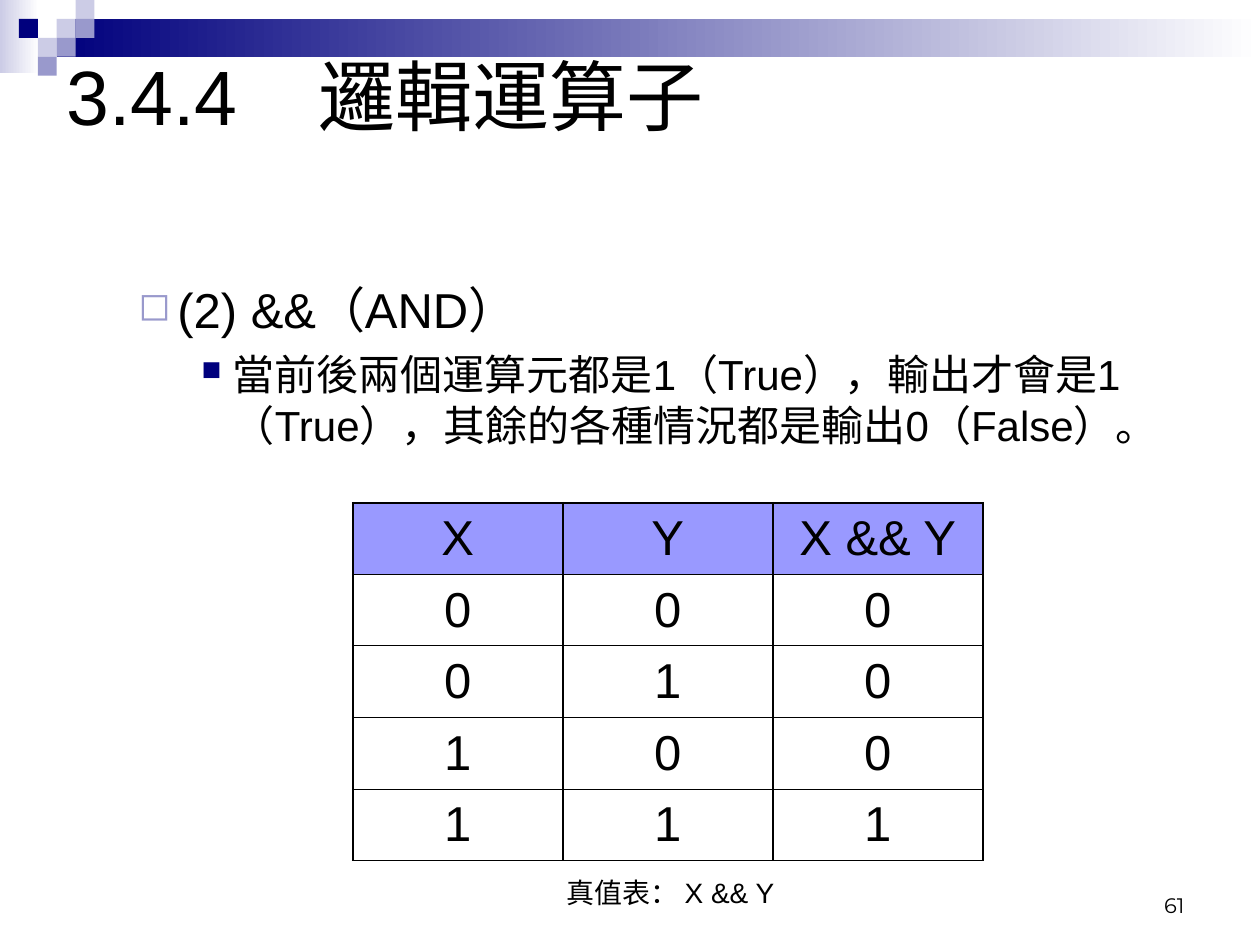
from lxml.etree import SubElement
from pptx import Presentation
from pptx.dml.color import RGBColor
from pptx.enum.shapes import MSO_SHAPE
from pptx.enum.text import MSO_ANCHOR, MSO_AUTO_SIZE, PP_ALIGN
from pptx.oxml import parse_xml
from pptx.oxml.ns import nsdecls, qn
from pptx.util import Inches, Pt

UNIT = 0.15  # side of one corner square
SQUARES = [(3, 1, "CCCCE6"), (4, 0, "CCCCE6"), (4, 1, "9999CC"), (2, 2, "CCCCE6"),
           (1, 1, "00007D"), (3, 2, "9999CC"), (2, 3, "9999CC")]
TRUTH = [("X", "Y", "X && Y")] + [
    (str(x), str(y), str(x & y)) for x in (0, 1) for y in (0, 1)]
THICK, THIN = 1.08, 0.45


def color(code):
    return RGBColor.from_string(code)


def add_block(slide, box, fill, fade=False):
    shape = slide.shapes.add_shape(MSO_SHAPE.RECTANGLE, *map(Inches, box))
    shape.shadow.inherit = False
    shape.line.fill.background()
    if fade:
        shape.fill.gradient()
        shape.fill.gradient_angle = 180
        for stop, code in zip(shape.fill.gradient_stops, ("FFFFFF", fill)):
            stop.color.rgb = color(code)
    else:
        shape.fill.solid()
        shape.fill.fore_color.rgb = color(fill)


def add_run(para, text, size, font="Arial"):
    run = para.add_run()
    run.text = text
    run.font.size = Pt(size)
    run.font.name = font
    run.font.color.rgb = color("000000")


def add_text(slide, box, anchor=MSO_ANCHOR.TOP, wrap=True):
    frame = slide.shapes.add_textbox(*map(Inches, box)).text_frame
    frame.word_wrap = wrap
    frame.vertical_anchor = anchor
    return frame


def add_tabs(para, first):
    tabs = SubElement(para._p.get_or_add_pPr(), qn("a:tabLst"))
    for inch in range(first, first + 8):
        SubElement(tabs, qn("a:tab"), pos=str(Inches(inch)), algn="l")


def add_bullet(para, char, code, share, left, hang):
    props = para._p.get_or_add_pPr()
    props.set("marL", str(Inches(left)))
    props.set("indent", str(-Inches(hang)))
    tint = SubElement(props, qn("a:buClr"))
    SubElement(tint, qn("a:srgbClr"), val=code)
    SubElement(props, qn("a:buSzPct"), val=str(share * 1000))
    SubElement(props, qn("a:buChar"), char=char)


def set_edges(cell, top, base):
    props = cell._tc.get_or_add_tcPr()
    edges = {"L": THICK, "R": THICK, "T": top, "B": base}
    for place, (side, width) in enumerate(edges.items()):
        props.insert(place, parse_xml(
            f'<a:ln{side} {nsdecls("a")} w="{Pt(width)}"><a:solidFill>'
            f'<a:srgbClr val="000000"/></a:solidFill></a:ln{side}>'))


def add_grid(slide, box, rows):
    last = len(rows) - 1
    frame = slide.shapes.add_table(len(rows), len(rows[0]), *map(Inches, box))
    table = frame.table
    table.first_row = table.horz_banding = False
    for r, row in enumerate(rows):
        for c, text in enumerate(row):
            cell = table.cell(r, c)
            cell.vertical_anchor = MSO_ANCHOR.MIDDLE
            if r == 0:
                cell.fill.solid()
                cell.fill.fore_color.rgb = color("9999FF")
            else:
                cell.fill.background()
            set_edges(cell, THICK if r == 0 else THIN, THICK if r == last else THIN)
            para = cell.text_frame.paragraphs[0]
            para.alignment = PP_ALIGN.CENTER
            add_run(para, text, 28)


def main():
    deck = Presentation()
    deck.slide_width, deck.slide_height = Inches(10), Inches(7.5)
    slide = deck.slides.add_slide(deck.slide_layouts[6])

    # Corner and top band
    add_block(slide, (0, 0, 0.31, 0.58), "CCCCE6", fade=True)
    add_block(slide, (3 * UNIT, UNIT, 10 - 3 * UNIT, 2 * UNIT), "00007D", fade=True)
    for col, row, fill in SQUARES:
        add_block(slide, (col * UNIT, row * UNIT, UNIT, UNIT), fill)

    # Title
    title = add_text(slide, (0.43, 0, 9, 1.5), MSO_ANCHOR.MIDDLE).paragraphs[0]
    add_tabs(title, 0)
    add_run(title, "3.4.4\t邏輯運算子", 44)

    # Body
    body = add_text(slide, (0.5, 2.17, 9, 4.25))
    head = body.paragraphs[0]
    head.level = 1
    add_bullet(head, "◻", "9999CC", 80, 0.81, 0.31)
    add_run(head, "(2) &&（AND）", 28)
    rule = body.add_paragraph()
    rule.level = 2
    add_bullet(rule, "■", "00007D", 65, 1.25, 0.25)
    rule.space_before = Pt(6)
    add_run(rule, "當前後兩個運算元都是1（True），輸出才會是1（True），"
                  "其餘的各種情況都是輸出0（False）。", 24)

    # Truth table and its caption
    add_grid(slide, (2.8, 3.99, 5, 2.84), TRUTH)
    note = add_text(slide, (4.4, 6.9, 1.96, 0.37), wrap=False)
    note.auto_size = MSO_AUTO_SIZE.SHAPE_TO_FIT_TEXT
    add_run(note.paragraphs[0], "真值表： X && Y", 16)

    # Page number
    page = add_text(slide, (7.17, 6.83, 2.33, 0.5), MSO_ANCHOR.BOTTOM).paragraphs[0]
    page.alignment = PP_ALIGN.RIGHT
    add_run(page, "61", 12, "Montserrat")

    deck.save("out.pptx")


if __name__ == "__main__":
    main()
